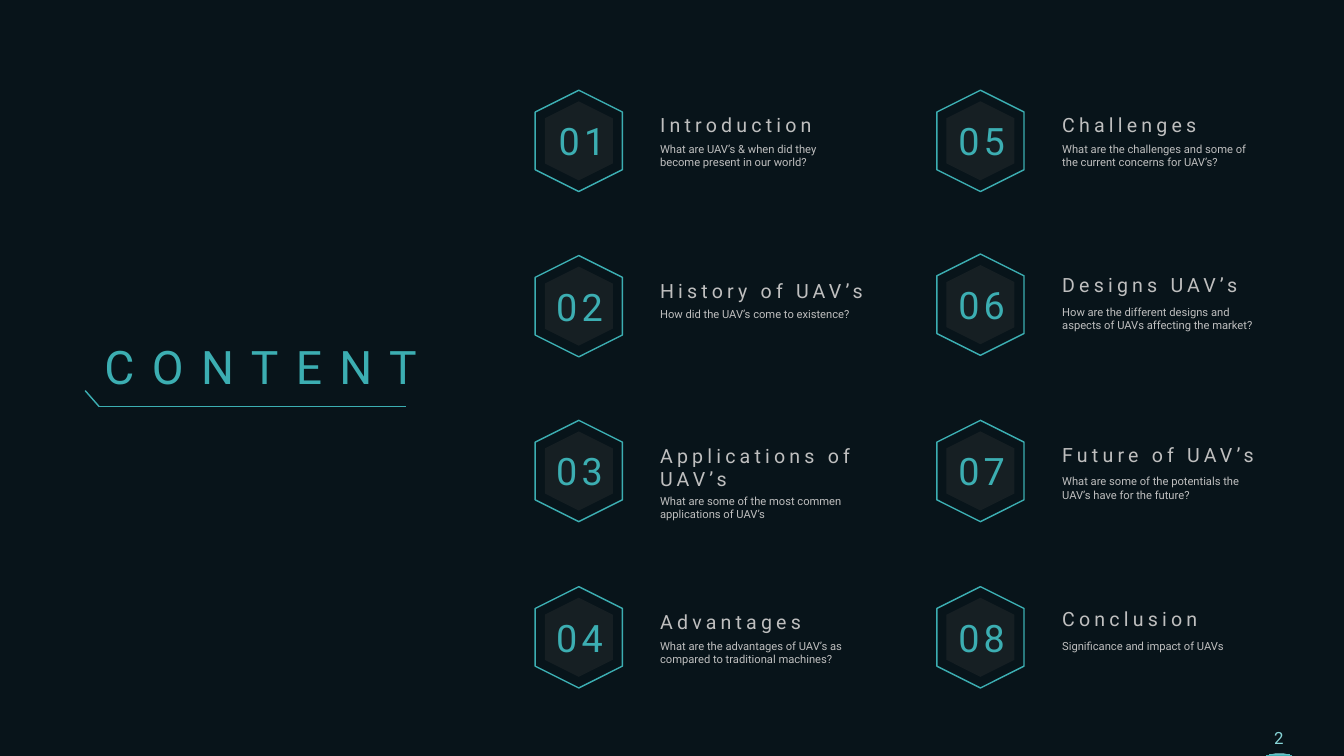
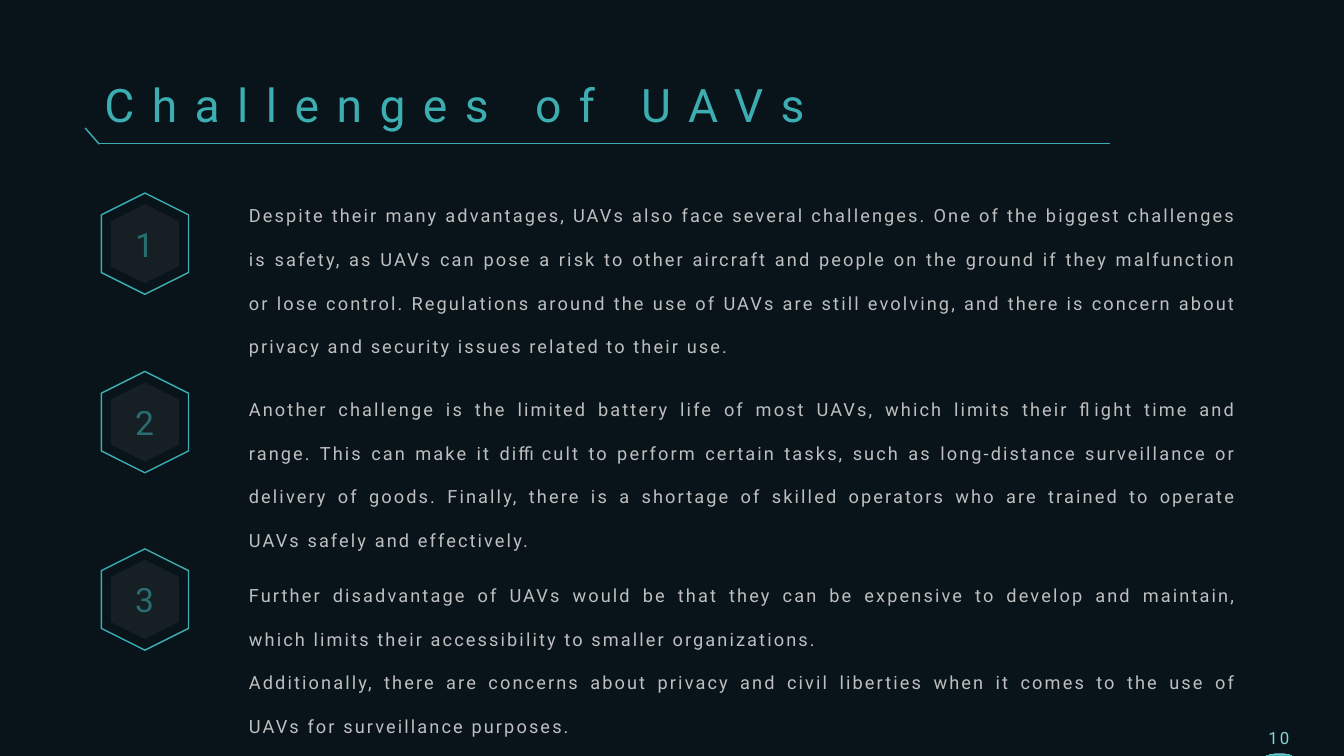
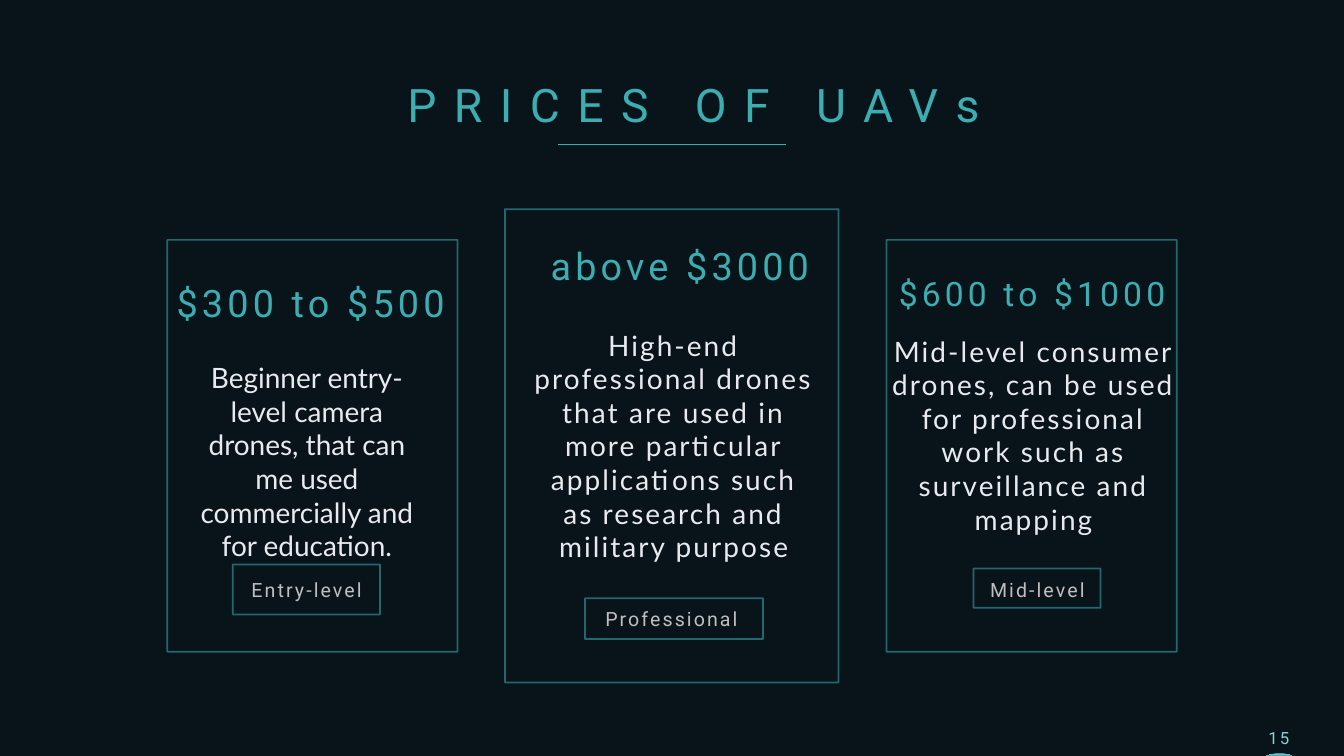
from dataclasses import dataclass, replace
from typing import Any, NamedTuple

from lxml import etree
from pptx import Presentation
from pptx import util as u
from pptx.dml.color import RGBColor
from pptx.enum import shapes, text
from pptx.oxml.ns import qn

SCALE = 9144
WIDE, HIGH = 2667, 1500
HUES = {
    "night": "08141A",
    "teal": "3CAEB2",
    "aqua": "86D4D6",
    "slate": "404040",
    "grey": "BFBFBF",
    "white": "E8EAED",
}
LEFT, MID, RIGHT, FULL = (
    text.PP_ALIGN.LEFT, text.PP_ALIGN.CENTER, text.PP_ALIGN.RIGHT, text.PP_ALIGN.JUSTIFY)
TOP, CORE, BASE = text.MSO_ANCHOR.TOP, text.MSO_ANCHOR.MIDDLE, text.MSO_ANCHOR.BOTTOM
KIND = shapes.MSO_SHAPE


class Box(NamedTuple):
    x: int
    y: int
    w: int
    h: int


class Stop(NamedTuple):
    hue: str
    at: int = 0
    alpha: int = 100


@dataclass(frozen=True)
class Paint:
    stops: tuple[Stop, ...]
    angle: int = 0


@dataclass(frozen=True)
class Look:
    size: int
    paint: Paint
    track: int = 0
    font: str = "Roboto"
    align: Any = LEFT
    anchor: Any = TOP
    lead: float = 1.0


@dataclass(frozen=True)
class Topic:
    label: str
    head: str
    note: str
    hexa: tuple[int, int]
    shift: int
    head_box: Box
    note_box: Box


@dataclass(frozen=True)
class Point:
    label: str
    hex_top: int
    text_top: int
    lines: tuple[str, ...]


@dataclass(frozen=True)
class Card:
    frame: Box
    price: str
    price_box: Box
    price_size: int
    body: str
    body_box: Box
    track: int
    tag: str
    tag_box: Box
    tag_frame: Box


def flat(hue: str, alpha: int = 100) -> Paint:
    return Paint((Stop(hue, 0, alpha),))


def blend(angle: int, alpha: int = 100) -> Paint:
    return Paint((Stop("teal", 0, alpha), Stop("aqua", 100)), angle)


GLOW = blend(45)
DIM = blend(315, 54)
PAGE = Paint((Stop("aqua", 23), Stop("teal", 100, 20)), 270)
CAP = Paint((Stop("aqua", 0), Stop("teal", 85)), 90)

TITLE = Look(66, GLOW, 25, anchor=BASE)
NUMBER = Look(54, GLOW, 6, align=MID)
HEAD = Look(28, flat("grey"), 6)
NOTE = Look(16, flat("grey"))
COUNT = Look(48, DIM, align=MID, anchor=CORE)
PROSE = Look(26, flat("grey"), 3, align=FULL, lead=2.0)
PRICE = Look(54, GLOW, 6, align=RIGHT, anchor=BASE)
BODY = Look(40, flat("white"), font="Lato", align=MID)
TAG = Look(28, flat("grey"), 3, align=MID)
FOLIO = Look(24, PAGE, 3, align=MID)


def px(*vals: int) -> list[u.Emu]:
    return [u.Emu(v * SCALE) for v in vals]


def style(item: Any, form: dict[str, Any]) -> None:
    for key, val in form.items():
        setattr(item, key, val)


def tint(fill: Any, host: Any, paint: Paint) -> None:
    if len(paint.stops) == 1:
        fill.solid()
        fill.fore_color.rgb = RGBColor.from_string(HUES[paint.stops[0].hue])
    else:
        fill.gradient()
        grad = host.find(qn("a:gradFill"))
        for child in list(grad):
            grad.remove(child)
        marks = etree.SubElement(grad, qn("a:gsLst"))
        for stop in paint.stops:
            mark = etree.SubElement(marks, qn("a:gs"), pos=str(stop.at * 1000))
            etree.SubElement(mark, qn("a:srgbClr"), val=HUES[stop.hue])
        etree.SubElement(grad, qn("a:lin"), ang=str(paint.angle * 60000), scaled="0")
    for node, stop in zip(host.iter(qn("a:srgbClr")), paint.stops):
        if stop.alpha < 100:
            etree.SubElement(node, qn("a:alpha"), val=str(stop.alpha * 1000))


def stroke(item: Any, paint: Paint, width: float) -> None:
    item.line.width = u.Pt(width)
    tint(item.line.fill, item._element.spPr.find(qn("a:ln")), paint)


def write(shape: Any, lines: tuple[str, ...], look: Look) -> None:
    frame = shape.text_frame
    style(frame, {"word_wrap": True, "vertical_anchor": look.anchor,
                  "auto_size": text.MSO_AUTO_SIZE.SHAPE_TO_FIT_TEXT})
    for i, line in enumerate(lines):
        para = frame.add_paragraph() if i else frame.paragraphs[0]
        style(para, {"alignment": look.align, "line_spacing": look.lead})
        run = para.add_run()
        run.text = line
        style(run.font, {"size": u.Pt(look.size), "name": look.font})
        props = run._r.get_or_add_rPr()
        props.set("spc", str(look.track * 100))
        tint(run.font.fill, props, look.paint)


def put(slide: Any, box: Box, look: Look, *lines: str) -> None:
    write(slide.shapes.add_textbox(*px(*box)), lines, look)


def shape(tree: Any, kind: Any, box: Box, fill: Paint | None = None,
          edge: Paint | None = None, width: float = 2) -> Any:
    item = tree.add_shape(kind, *px(*box))
    item.shadow.inherit = False
    if fill:
        tint(item.fill, item._element.spPr, fill)
    else:
        item.fill.background()
    if edge:
        stroke(item, edge, width)
    else:
        item.line.fill.background()
    return item


def rule(slide: Any, ends: tuple[int, int, int, int], paint: Paint) -> None:
    line = slide.shapes.add_connector(shapes.MSO_CONNECTOR.STRAIGHT, *px(*ends))
    stroke(line, paint, 2)
    etree.SubElement(line._element.spPr, qn("a:effectLst"))


def badge(slide: Any, x: int, y: int) -> None:
    group = slide.shapes.add_group_shape()
    for item in (
        shape(group.shapes, KIND.HEXAGON, Box(x + 22, y + 19, 157, 135), flat("slate", 26)),
        shape(group.shapes, KIND.HEXAGON, Box(x, y, 201, 173), edge=GLOW),
    ):
        item.rotation = 90


def frame(slide: Any, kind: Any, box: Box) -> None:
    shape(slide.shapes, kind, box, edge=DIM, width=2.5).adjustments[0] = 0


def start(deck: Any, title: str, box: Box, folio: str, align: Any = LEFT) -> Any:
    slide = deck.slides.add_slide(deck.slide_layouts[5])
    head = slide.shapes.title
    style(head, dict(zip(("left", "top", "width", "height"), px(*box))))
    write(head, (title,), replace(TITLE, align=align))
    put(slide, Box(2491, 1438, 94, 50), FOLIO, folio)
    pen = slide.shapes.build_freeform(2513, HIGH, scale=SCALE)
    pen.add_line_segments([(2521, 1497), (2530, 1495), (2548, 1495), (2557, 1497), (2565, HIGH)])
    cap = pen.convert_to_shape()
    cap.shadow.inherit = False
    tint(cap.fill, cap._element.spPr, CAP)
    cap.line.fill.background()
    return slide


def hook(slide: Any, y: int, end: int) -> None:
    rule(slide, (169, y - 31, 197, y + 1), flat("teal"))
    rule(slide, (196, y, end, y), GLOW)


def topic(label: str, head: str, note: str, hex_top: int, head_top: int, note_top: int,
          wide: int = 415, rows: int = 1, deep: int = 64, shift: int = 23) -> Topic:
    second = int(label) > 4
    x, side = (1845, 2098) if second else (1048, 1300)
    return Topic(label, head, note, (x, hex_top), shift + second,
                 Box(side, head_top, wide, 10 + 47 * rows), Box(side, note_top, 415, deep))


TOPICS = (
    topic("01", "Introduction", "What are UAV’s & when did they become present in our world?",
          193, 220, 277, shift=28),
    topic("02", "History of UAV’s", "How did the UAV’s come to existence?",
          521, 548, 605, wide=446, deep=37),
    topic("03", "Applications of UAV’s", "What are some of the most commen applications of UAV’s",
          848, 875, 976, rows=2),
    topic("04", "Advantages",
          "What are the advantages of UAV’s as compared to traditional machines?",
          1178, 1205, 1263),
    topic("05", "Challenges",
          "What are the challenges and some of the current concerns for UAV’s?",
          193, 220, 277),
    topic("06", "Designs UAV’s",
          "How are the different designs and aspects of UAVs affecting the market?",
          518, 536, 600, wide=445),
    topic("07", "Future of UAV’s",
          "What are some of the potentials the UAV’s have for the future?",
          848, 874, 937, wide=445),
    topic("08", "Conclusion", "Significance and impact of UAVs",
          1178, 1199, 1263, wide=445, deep=37),
)

POINTS = (
    Point("1", 397, 358, (
        "Despite their many advantages, UAVs also face several challenges. One of the biggest "
        "challenges is safety, as UAVs can pose a risk to other aircraft and people on the "
        "ground if they malfunction or lose control. Regulations around the use of UAVs are "
        "still evolving, and there is concern about privacy and security issues related to "
        "their use.",)),
    Point("2", 751, 742, (
        "Another challenge is the limited battery life of most UAVs, which limits their flight "
        "time and range. This can make it difficult to perform certain tasks, such as "
        "long-distance surveillance or delivery of goods. Finally, there is a shortage of "
        "skilled operators who are trained to operate UAVs safely and effectively.",)),
    Point("3", 1103, 1111, (
        "Further disadvantage of UAVs would be that they can be expensive to develop and "
        "maintain, which limits their accessibility to smaller organizations.",
        "Additionally, there are concerns about privacy and civil liberties when it comes to "
        "the use of UAVs for surveillance purposes.")),
)

CARDS = (
    Card(Box(332, 476, 576, 817), "$300 to $500", Box(216, 549, 677, 101), 54,
         "Beginner entry-level camera drones, that can me used commercially and for education.",
         Box(364, 711, 490, 347), 0,
         "Entry-level", Box(483, 1142, 251, 57), Box(462, 1120, 292, 99)),
    Card(Box(1002, 415, 662, 939), "above $3000", Box(939, 476, 677, 101), 54,
         "High-end professional drones that are used in more particular applications such as "
         "research and military purpose",
         Box(1045, 646, 584, 481), 3,
         "Professional", Box(1156, 1199, 353, 57), Box(1161, 1187, 353, 81)),
    Card(Box(1759, 476, 576, 817), "$600 to $1000", Box(1646, 536, 677, 91), 48,
         "Mid-level consumer drones, can be used for professional work such as surveillance "
         "and mapping",
         Box(1759, 658, 584, 414), 3,
         "Mid-level", Box(1933, 1142, 251, 57), Box(1932, 1128, 252, 78)),
)


def content(deck: Any) -> None:
    slide = start(deck, "CONTENT", Box(197, 666, 751, 121), "2")
    hook(slide, 806, 806)
    for item in TOPICS:
        x, y = item.hexa
        badge(slide, x, y)
        put(slide, Box(x + item.shift, y + 36, 158, 101), NUMBER, item.label)
        put(slide, item.head_box, HEAD, item.head)
        put(slide, item.note_box, NOTE, item.note)


def issues(deck: Any) -> None:
    slide = start(deck, "Challenges of UAVs", Box(197, 145, 2175, 121), "10")
    hook(slide, 285, 2203)
    for item in POINTS:
        badge(slide, 187, item.hex_top)
        put(slide, Box(229, item.hex_top + 41, 116, 91), COUNT, item.label)
        put(slide, Box(484, item.text_top, 1982, 347), PROSE, *item.lines)


def prices(deck: Any) -> None:
    slide = start(deck, "PRICES OF UAVs", Box(774, 146, 1205, 121), "15", MID)
    rule(slide, (1107, 287, 1560, 287), flat("teal"))
    for card in CARDS:
        frame(slide, KIND.SNIP_1_RECTANGLE, card.frame)
        frame(slide, KIND.ROUNDED_RECTANGLE, card.tag_frame)
        put(slide, card.price_box, replace(PRICE, size=card.price_size), card.price)
        put(slide, card.body_box, replace(BODY, track=card.track), card.body)
        put(slide, card.tag_box, TAG, card.tag)


def main() -> None:
    deck = Presentation()
    deck.slide_width, deck.slide_height = px(WIDE, HIGH)
    ground = deck.slide_master.background.fill
    ground.solid()
    ground.fore_color.rgb = RGBColor.from_string(HUES["night"])
    for build in (content, issues, prices):
        build(deck)
    deck.save("out.pptx")


if __name__ == "__main__":
    main()
